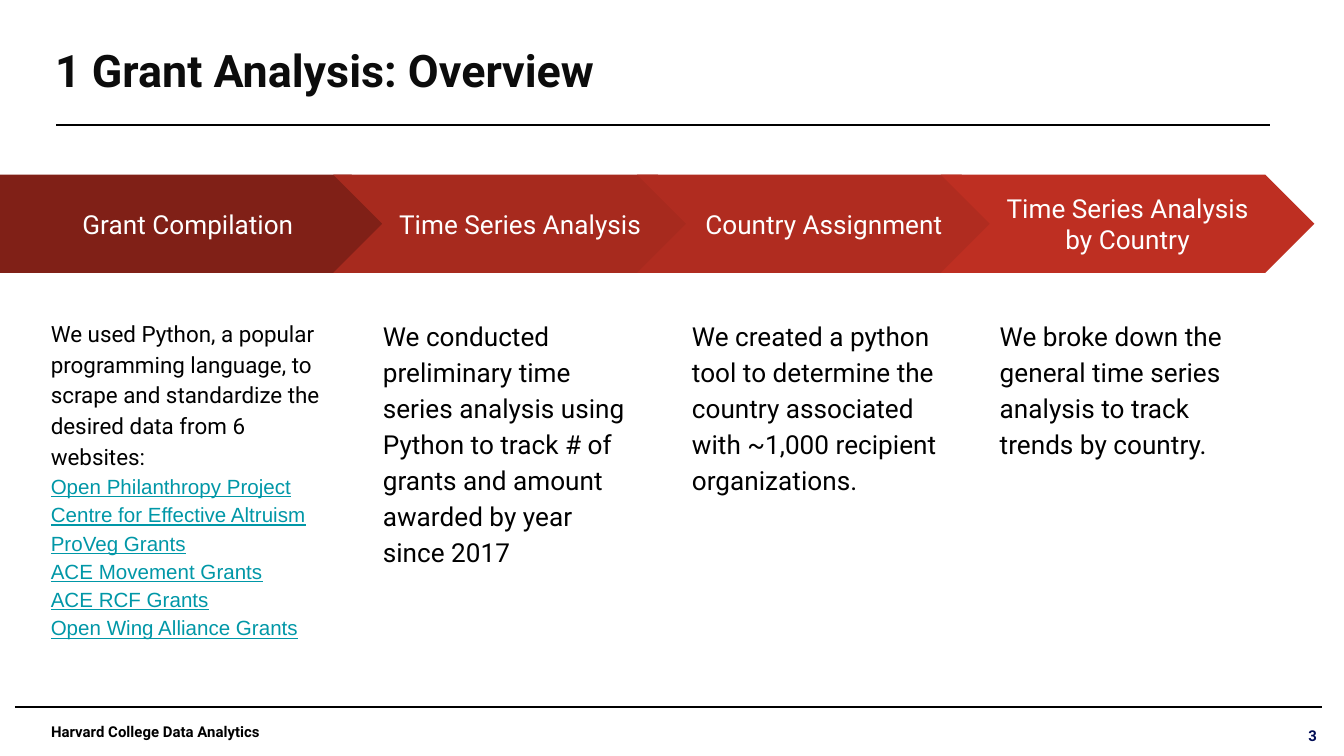
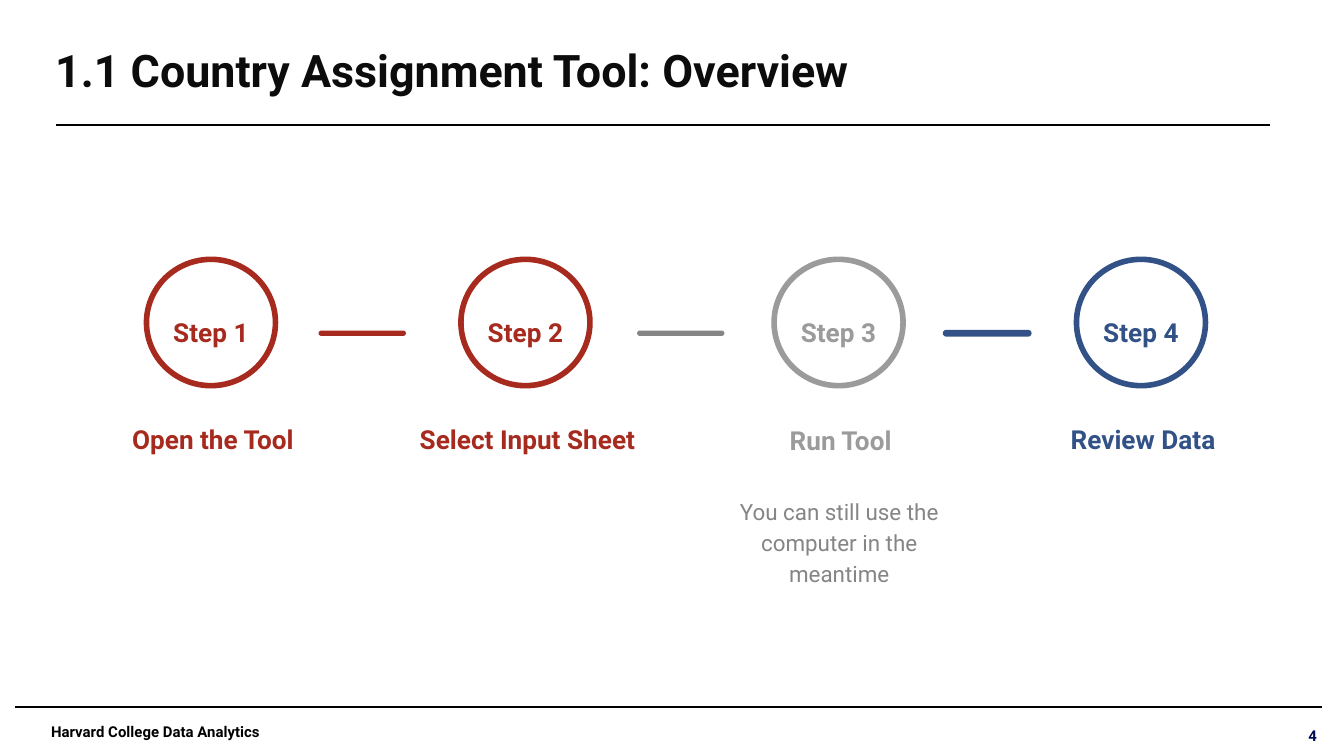
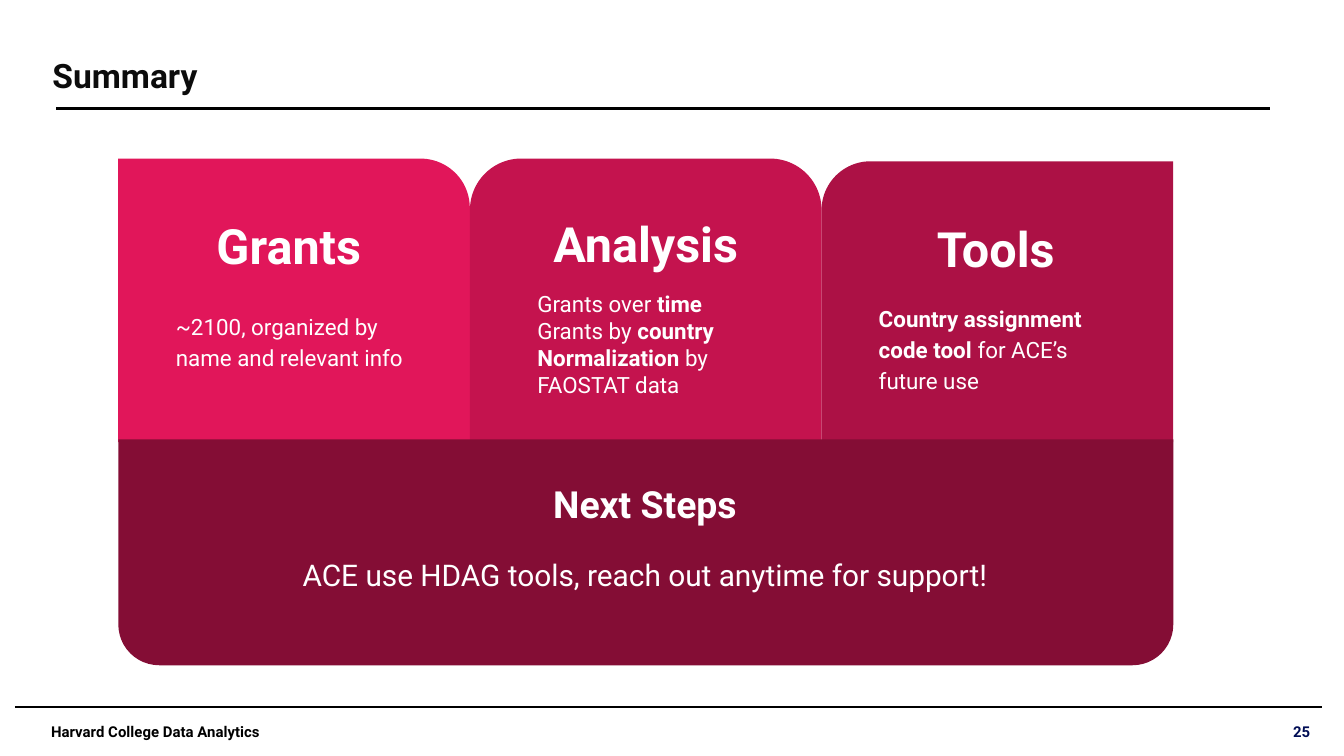
from pptx import Presentation
from pptx.dml.color import RGBColor
from pptx.enum.shapes import MSO_CONNECTOR, MSO_SHAPE
from pptx.enum.text import MSO_ANCHOR, MSO_AUTO_SIZE, PP_ALIGN
from pptx.oxml.ns import qn
from pptx.util import Inches, Pt
from lxml.etree import SubElement

BLACK = RGBColor(0x00, 0x00, 0x00)
WHITE = RGBColor(0xFF, 0xFF, 0xFF)
TITLE_BLACK = RGBColor(0x0C, 0x0C, 0x0C)
NAVY = RGBColor(0x00, 0x0D, 0x55)
TEAL = RGBColor(0x00, 0x97, 0xA7)
DARK_RED = RGBColor(0x80, 0x20, 0x17)
RED = RGBColor(0xA7, 0x2A, 0x1E)
MEDIUM_RED = RGBColor(0xB0, 0x2C, 0x20)
BRIGHT_RED = RGBColor(0xBE, 0x2F, 0x22)
LIGHT_GRAY = RGBColor(0x9B, 0x9B, 0x9B)
GRAY = RGBColor(0x85, 0x85, 0x85)
BLUE = RGBColor(0x32, 0x52, 0x87)
PINK = RGBColor(0xE1, 0x16, 0x5A)
ROSE = RGBColor(0xC4, 0x13, 0x4E)
CRIMSON = RGBColor(0xAC, 0x11, 0x45)
BURGUNDY = RGBColor(0x84, 0x0D, 0x35)

FOOTER = "Harvard College Data Analytics"

PHASES = [
    ("Grant Compilation", DARK_RED, 0.28, 2.26, 12,
     "We used Python, a popular programming language, to scrape and "
     "standardize the desired data from 6 websites:"),
    ("Time Series Analysis", RED, 2.75, 2.08, 14,
     "We conducted preliminary time series analysis using Python to track "
     "# of grants and amount awarded by year since 2017"),
    ("Country Assignment", MEDIUM_RED, 5.05, 2.08, 14,
     "We created a python tool to determine the country associated with "
     "~1,000 recipient organizations."),
    ("Time Series Analysis by Country", BRIGHT_RED, 7.34, 2.08, 14,
     "We broke down the general time series analysis to track trends by country."),
]
WEBSITES = [
    "Open Philanthropy Project",
    "Centre for Effective Altruism",
    "ProVeg Grants",
    "ACE Movement Grants",
    "ACE RCF Grants",
    "Open Wing Alliance Grants",
]

STEPS = [
    ("Open the Tool", RED, 1.09, 0.49),
    ("Select Input Sheet", RED, 3.43, 0.49),
    ("Run Tool", LIGHT_GRAY, 5.76, 0.5),
    ("Review Data", BLUE, 8.01, 0.49),
]
DASHES = [(2.37, RED), (4.74, GRAY), (7.02, BLUE)]
RUN_NOTE = "You can still use the computer in the meantime"

PILLARS = [
    {"heading": "Grants", "color": PINK, "shape": MSO_SHAPE.ROUND_1_RECTANGLE,
     "adjustment": 0.174, "flipped": False, "top": 1.18,
     "heading_box": (1.17, 1.51, 1.96, 0.62), "text_box": (1.21, 2.2, 1.96, 0.69),
     "spacing": 1.15, "text": ["~2100, organized by name and relevant info"]},
    {"heading": "Analysis", "color": ROSE, "shape": MSO_SHAPE.ROUND_2_SAME_RECTANGLE,
     "adjustment": 0.181, "flipped": False, "top": 1.18,
     "heading_box": (3.73, 1.49, 2.15, 0.62), "text_box": (3.9, 2.06, 2.18, 0.69),
     "spacing": 1, "text": [
         [("Grants over ", False), ("time", True)],
         [("Grants by ", False), ("country", True)],
         [("Normalization", True), (" by FAOSTAT data", False)]]},
    {"heading": "Tools", "color": CRIMSON, "shape": MSO_SHAPE.ROUND_1_RECTANGLE,
     "adjustment": 0.174, "flipped": True, "top": 1.2,
     "heading_box": (6.23, 1.53, 2.36, 0.61), "text_box": (6.44, 2.14, 1.96, 0.68),
     "spacing": 1.15, "text": [
         [("Country assignment code tool ", True), ("for ACE’s future use", False)]]},
]
NEXT_STEPS = "Next Steps"
NEXT_STEPS_TEXT = "ACE use HDAG tools, reach out anytime for support!"


def style_paragraph(paragraph, size, color, bold=False, align=PP_ALIGN.LEFT,
                    spacing=1, after=0, font="Roboto", underline=None):
    paragraph.alignment = align
    paragraph.line_spacing = spacing
    paragraph.space_before = Pt(0)
    paragraph.space_after = Pt(after)
    paragraph.font.name = font
    paragraph.font.size = Pt(size)
    paragraph.font.bold = bold
    paragraph.font.underline = underline
    paragraph.font.color.rgb = color


def set_frame(frame, anchor, inset_x, inset_y):
    frame.word_wrap = True
    frame.auto_size = MSO_AUTO_SIZE.NONE
    frame.vertical_anchor = anchor
    frame.margin_left = frame.margin_right = Inches(inset_x)
    frame.margin_top = frame.margin_bottom = Inches(inset_y)


def write(frame, paragraphs, size, color, anchor=MSO_ANCHOR.TOP,
          insets=(0.1, 0.1), **style):
    set_frame(frame, anchor, *insets)
    for index, content in enumerate(paragraphs):
        paragraph = frame.add_paragraph() if index else frame.paragraphs[0]
        style_paragraph(paragraph, size, color, **style)
        if isinstance(content, str):
            paragraph.add_run().text = content
            continue
        for text, bold in content:
            run = paragraph.add_run()
            run.text = text
            run.font.bold = bold


def add_text(slide, box, paragraphs, size, color, **style):
    textbox = slide.shapes.add_textbox(*map(Inches, box))
    write(textbox.text_frame, paragraphs, size, color, **style)
    return textbox


def add_block(slide, kind, box, fill=None, line=None, line_width=0.75, adjustment=None):
    shape = slide.shapes.add_shape(kind, *map(Inches, box))
    shape.shadow.inherit = False
    if fill is None:
        shape.fill.background()
    else:
        shape.fill.solid()
        shape.fill.fore_color.rgb = fill
    if line is None:
        shape.line.fill.background()
    else:
        shape.line.color.rgb = line
        shape.line.width = Pt(line_width)
    if adjustment is not None:
        shape.adjustments[0] = adjustment
    return shape


def add_rule(slide, left, right, top, width):
    rule = slide.shapes.add_connector(
        MSO_CONNECTOR.STRAIGHT, Inches(left), Inches(top), Inches(right), Inches(top))
    rule.line.color.rgb = BLACK
    rule.line.width = Pt(width)
    SubElement(rule.element.spPr, qn("a:effectLst"))


def add_base_slide(presentation, title, number, title_box=(0.34, 0.05, 8.86, 0.94),
                   title_size=24, title_anchor=MSO_ANCHOR.MIDDLE, rule_top=0.93,
                   number_position=(9.33, 5.32)):
    slide = presentation.slides.add_slide(presentation.slide_layouts[5])
    add_text(slide, (0.31, 5.3, 3.14, 0.28), [FOOTER], 8, BLACK, bold=True,
             anchor=MSO_ANCHOR.MIDDLE, insets=(0.07, 0.07))
    add_rule(slide, 0.11, 9.84, 5.26, 0.75)
    heading = slide.shapes.title
    heading.left, heading.top, heading.width, heading.height = map(Inches, title_box)
    write(heading.text_frame, [title], title_size, TITLE_BLACK, bold=True,
          anchor=title_anchor, insets=(0.07, 0.07))
    add_rule(slide, 0.42, 9.45, rule_top, 1.5)
    add_text(slide, (*number_position, 0.54, 0.3), [str(number)], 8, NAVY, bold=True,
             align=PP_ALIGN.RIGHT, anchor=MSO_ANCHOR.MIDDLE, insets=(0.07, 0.04))
    return slide


def build_grant_overview(presentation):
    slide = add_base_slide(presentation, "1 Grant Analysis: Overview", 3)
    for index, (name, color, left, width, size, description) in enumerate(PHASES):
        if index:
            kind, arrow_left, arrow_width = MSO_SHAPE.CHEVRON, 0.22 + 2.26 * index, 2.78
        else:
            kind, arrow_left, arrow_width = MSO_SHAPE.PENTAGON, 0, 2.98
        arrow = add_block(slide, kind, (arrow_left, 1.3, arrow_width, 0.73), color,
                          adjustment=0.5)
        write(arrow.text_frame, [name], 14, WHITE, align=PP_ALIGN.CENTER,
              anchor=MSO_ANCHOR.MIDDLE)
        textbox = add_text(slide, (left, 2.25, width, 2.86), [description], size, BLACK,
                           spacing=1.15)
        if index == 0:
            for website in WEBSITES:
                paragraph = textbox.text_frame.add_paragraph()
                style_paragraph(paragraph, 11, TEAL, spacing=1.15, font="Arial",
                                underline=True)
                paragraph.add_run().text = website


def build_tool_overview(presentation):
    slide = add_base_slide(presentation, "1.1 Country Assignment Tool: Overview", 4)
    centered = {"align": PP_ALIGN.CENTER, "spacing": 1.15}
    for left, color in DASHES:
        add_block(slide, MSO_SHAPE.ROUNDED_RECTANGLE, (left, 2.46, 0.65, 0.04), color,
                  line=BLUE if color == BLUE else None, adjustment=0.5)
    for number, (label, color, left, label_height) in enumerate(STEPS, 1):
        add_block(slide, MSO_SHAPE.OVAL, (left, 1.93, 0.96, 0.94), line=color, line_width=3)
        add_text(slide, (left, 2.22, 0.96, 0.35), [f"Step {number}"], 14, color,
                 bold=True, after=16, **centered)
        add_text(slide, (left - 0.44, 2.99, 1.87, label_height), [label], 14, color,
                 bold=True, anchor=MSO_ANCHOR.BOTTOM, **centered)
    add_text(slide, (5.31, 3.58, 1.87, 0.81), [RUN_NOTE], 12, GRAY, after=16, **centered)


def build_summary(presentation):
    slide = add_base_slide(presentation, "Summary", 25, (0.32, 0.34, 8.95, 0.84), 18,
                           MSO_ANCHOR.TOP, 0.81, (9.28, 5.29))
    left, total_width, bottom = 0.88, 7.85, 3.29
    width = total_width / len(PILLARS)
    for index, pillar in enumerate(PILLARS):
        top = pillar["top"]
        block = add_block(slide, pillar["shape"],
                          (left + index * width, top, width, bottom - top),
                          pillar["color"], adjustment=pillar["adjustment"])
        if pillar["flipped"]:
            block.element.spPr.find(qn("a:xfrm")).set("flipH", "1")
        add_text(slide, pillar["heading_box"], [pillar["heading"]], 26, WHITE,
                 bold=True, align=PP_ALIGN.CENTER)
        add_text(slide, pillar["text_box"], pillar["text"], 12, WHITE,
                 spacing=pillar["spacing"])
    base = add_block(slide, MSO_SHAPE.ROUND_2_SAME_RECTANGLE,
                     (left, 3.27, total_width, 1.68), BURGUNDY, adjustment=0.181)
    base.rotation = 180
    add_text(slide, (2.12, 3.48, 5.36, 0.47), [NEXT_STEPS], 20, WHITE, bold=True,
             align=PP_ALIGN.CENTER)
    add_text(slide, (2.12, 4, 5.36, 0.52), [NEXT_STEPS_TEXT], 16, WHITE,
             align=PP_ALIGN.CENTER, spacing=1.15, after=16)


def main():
    presentation = Presentation()
    presentation.slide_width = Inches(10)
    presentation.slide_height = Inches(10 * 9 / 16)
    build_grant_overview(presentation)
    build_tool_overview(presentation)
    build_summary(presentation)
    presentation.save("out.pptx")


if __name__ == "__main__":
    main()
